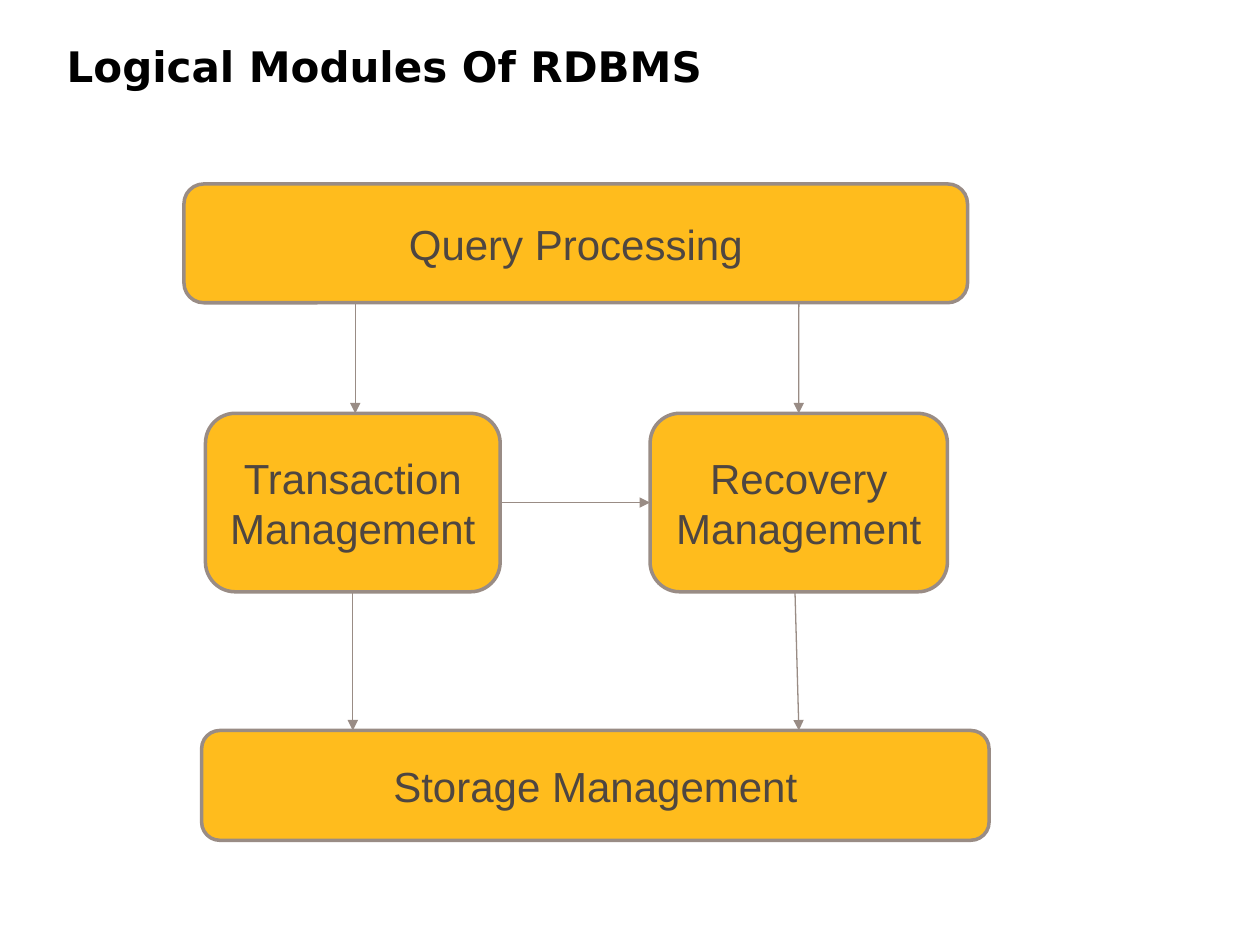
from pptx import Presentation
from pptx.dml.color import RGBColor
from pptx.enum.shapes import MSO_CONNECTOR, MSO_SHAPE
from pptx.enum.text import MSO_ANCHOR, PP_ALIGN
from pptx.oxml.ns import qn
from pptx.util import Pt
from lxml.etree import SubElement

# Content: name -> (lines, left, top, width, height)
TITLE = "Logical Modules Of RDBMS"
BOXES = {
    "query": (["Query Processing"], 105.1, 105.1, 447.8, 67.9),
    "trans": (["Transaction", "Management"], 117.4, 236.2, 168.4, 102),
    "recov": (["Recovery", "Management"], 371.5, 236.2, 169.9, 102),
    "store": (["Storage Management"], 115.2, 417.4, 450, 62.8),
}
# Vertical arrows: from box, start x, to box, end x (None = box middle)
DROPS = [
    ("query", 203, "trans", 203),
    ("query", 456.5, "recov", None),
    ("trans", None, "store", 201.6),
    ("recov", 454.3, "store", 456.5),
]
THEME = {
    "fill": RGBColor.from_string("FFBC1D"),
    "line": RGBColor.from_string("998C85"),
    "title": {"name": "DejaVu Sans", "size": Pt(24), "bold": True,
              "color": RGBColor(0, 0, 0)},
    "label": {"name": "Arial", "size": Pt(24),
              "color": RGBColor.from_string("4E4641")},
    "edge": 2,
    "arrow": 0.75,
}
TOP, LEFT, BOTTOM, RIGHT = range(4)

deck = Presentation()
deck.slide_width, deck.slide_height = Pt(720), Pt(540)
slide = deck.slides.add_slide(deck.slide_layouts[6])
shapes = slide.shapes


def style(font, look):
    for key, val in look.items():
        if key == "color":
            font.color.rgb = val
        else:
            setattr(font, key, val)


def write(frame, lines, look, align):
    frame.word_wrap = True
    for i, line in enumerate(lines):
        para = frame.paragraphs[0] if i == 0 else frame.add_paragraph()
        para.alignment = align
        run = para.add_run()
        run.text = line
        style(run.font, look)


def add_box(lines, *place):
    box = shapes.add_shape(MSO_SHAPE.ROUNDED_RECTANGLE, *map(Pt, place))
    box.shadow.inherit = False
    box.fill.solid()
    box.fill.fore_color.rgb = THEME["fill"]
    box.line.color.rgb = THEME["line"]
    box.line.width = Pt(THEME["edge"])
    box.text_frame.vertical_anchor = MSO_ANCHOR.MIDDLE
    write(box.text_frame, lines, THEME["label"], PP_ALIGN.CENTER)
    return box


def add_arrow(start, end):
    arrow = shapes.add_connector(MSO_CONNECTOR.STRAIGHT, *start, *end)
    arrow.line.color.rgb = THEME["line"]
    arrow.line.width = Pt(THEME["arrow"])
    SubElement(arrow.line._get_or_add_ln(), qn("a:tailEnd"), type="triangle")
    SubElement(arrow._element.spPr, qn("a:effectLst"))
    return arrow


def mid(box):
    return box.left + box.width // 2


# Title
head = shapes.add_textbox(Pt(31), Pt(19.4), Pt(663), Pt(36))
write(head.text_frame, [TITLE], THEME["title"], PP_ALIGN.LEFT)

# Module boxes
nodes = {name: add_box(*spec) for name, spec in BOXES.items()}

# Arrows down between the rows
for src, x1, dst, x2 in DROPS:
    upper, lower = nodes[src], nodes[dst]
    start = mid(upper) if x1 is None else Pt(x1)
    end = mid(lower) if x2 is None else Pt(x2)
    arrow = add_arrow((start, upper.top + upper.height), (end, lower.top))
    if x1 is None:
        arrow.begin_connect(upper, BOTTOM)
    if x2 is None:
        arrow.end_connect(lower, TOP)

# Arrow across the middle row
near, far = nodes["trans"], nodes["recov"]
level = near.top + near.height // 2
across = add_arrow((near.left + near.width, level), (far.left, level))
across.begin_connect(near, RIGHT)
across.end_connect(far, LEFT)

deck.save("out.pptx")
